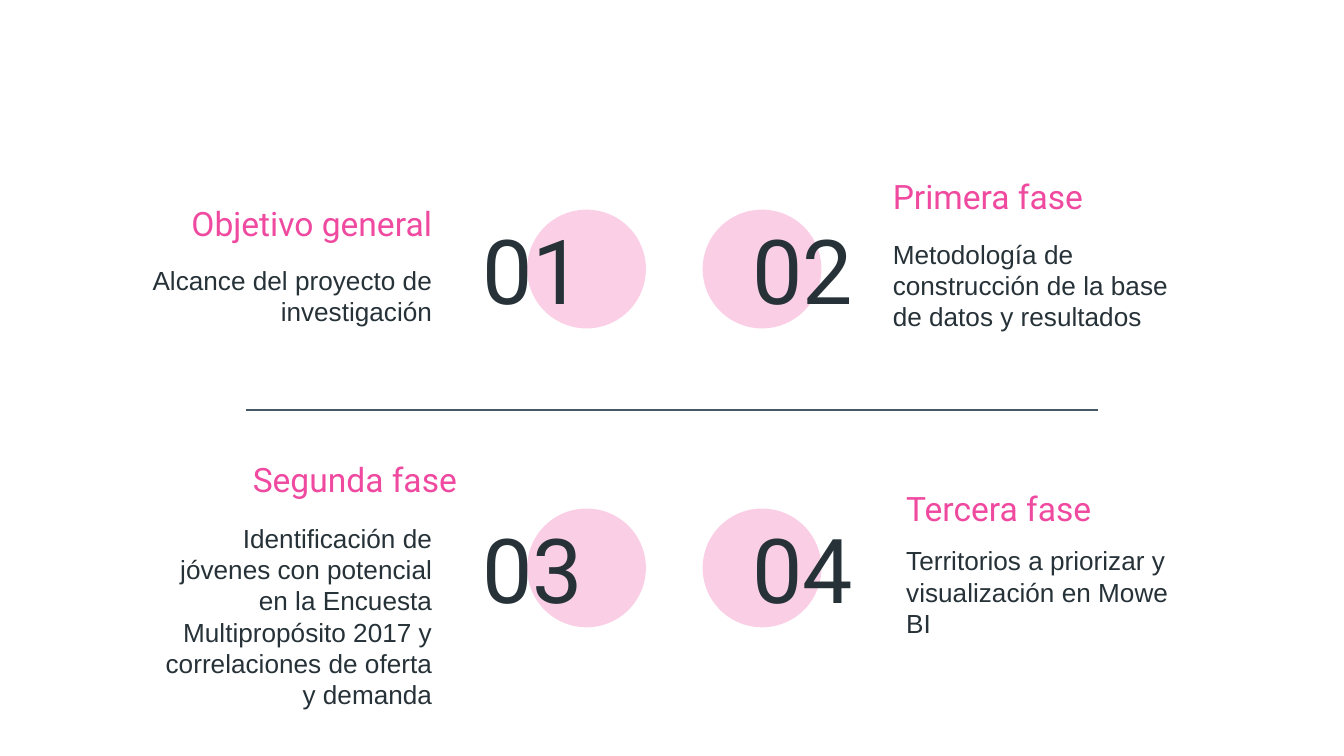
from lxml import etree
from pptx import Presentation
from pptx.dml.color import RGBColor
from pptx.enum.shapes import MSO_CONNECTOR, MSO_SHAPE
from pptx.enum.text import MSO_ANCHOR, PP_ALIGN
from pptx.oxml.ns import qn
from pptx.util import Inches, Pt

PINK = RGBColor(0xEF, 0x49, 0xA0)
PALE_PINK = RGBColor(0xFB, 0xD0, 0xE6)
INK = RGBColor(0x26, 0x32, 0x38)
SLATE = RGBColor(0x45, 0x5A, 0x64)
LEFT, RIGHT = PP_ALIGN.LEFT, PP_ALIGN.RIGHT
TOP, MIDDLE, BOTTOM = MSO_ANCHOR.TOP, MSO_ANCHOR.MIDDLE, MSO_ANCHOR.BOTTOM
OVAL, STRAIGHT = MSO_SHAPE.OVAL, MSO_CONNECTOR.STRAIGHT

CELL = 0.1  # inches per grid column and row
CIRCLE = 8.84
HEADING_HEIGHT = 4.4
ROW_TOPS = (15.6, 37.84)
CIRCLE_LEFTS = (39.22, 52.28)
NUMBER_LEFTS = (34.9, 51.35)


def grid(*counts):
    return [Inches(count * CELL) for count in counts]


class PhasePage:
    """Holds the page and its style; places are in grid columns and rows."""

    def __init__(self, deck):
        self.page = deck.slides.add_slide(deck.slide_layouts[6])

    def circle(self, left, top, color, opacity=None):
        disc = self.page.shapes.add_shape(OVAL, *grid(left, top, CIRCLE, CIRCLE))
        disc.shadow.inherit = False
        disc.line.fill.background()
        disc.fill.solid()
        disc.fill.fore_color.rgb = color
        if opacity is not None:
            tint = disc._element.spPr.find(qn("a:solidFill"))[0]
            etree.SubElement(tint, qn("a:alpha"), val=str(opacity * 1000))

    def text(self, words, place, size=14, font="Arial", color=INK,
             align=LEFT, anchor=TOP):
        box = self.page.shapes.add_textbox(*grid(*place))
        frame = box.text_frame
        frame.word_wrap = True
        frame.vertical_anchor = anchor
        frame.margin_left = frame.margin_right = Inches(0.1)
        frame.margin_top = frame.margin_bottom = Inches(0.1)
        para = frame.paragraphs[0]
        para.alignment = align
        span = para.add_run()
        span.text = words
        span.font.size = Pt(size)
        span.font.name = font
        span.font.color.rgb = color

    def number(self, words, left, top, align):
        self.text(words, (left, top, 13.1, 8.2), size=48, font="Roboto",
                  align=align, anchor=MIDDLE)

    def heading(self, words, left, top, width, align):
        self.text(words, (left, top, width, HEADING_HEIGHT), size=18,
                  font="Roboto", color=PINK, align=align, anchor=BOTTOM)

    def body(self, words, left, top, height, align):
        self.text(words, (left, top, 22.9, height), align=align)

    def divider(self, left, right, top):
        line = self.page.shapes.add_connector(
            STRAIGHT, *grid(left, top, right, top))
        line.line.color.rgb = SLATE
        line.line.width = Pt(0.75)
        etree.SubElement(line._element.spPr, qn("a:effectLst"))


# Heading and its left, top, width; then body and its left, top, height
PHASES = [
    (("Objetivo general", 2.04, 14.7, 31.1),
     ("Alcance del proyecto de investigación", 10.24, 18.64, 5.5)),
    (("Primera fase", 65.44, 12.7, 22.9),
     ("Metodología de construcción de la base de datos y resultados",
      65.44, 16.7, 5.5)),
    (("Segunda fase", 7.3, 33.74, 27.7),
     ("Identificación de jóvenes con potencial en la Encuesta Multipropósito "
      "2017 y correlaciones de oferta y demanda", 10.24, 37.84, 8.8)),
    (("Tercera fase", 66.44, 35.94, 29.8),
     ("Territorios a priorizar y visualización en Mowe BI",
      66.44, 39.54, 5.5)),
]


def main():
    deck = Presentation()
    deck.slide_width = Inches(10)
    deck.slide_height = deck.slide_width * 9 // 16
    page = PhasePage(deck)
    for index, (heading, body) in enumerate(PHASES):
        row, column = divmod(index, 2)
        align = (RIGHT, LEFT)[column]
        number_align = (LEFT, RIGHT)[column]
        top = ROW_TOPS[row]
        if index == 0:
            page.circle(CIRCLE_LEFTS[column], top, PALE_PINK)
        else:
            page.circle(CIRCLE_LEFTS[column], top, PINK, opacity=26)
        page.number(f"{index + 1:02}", NUMBER_LEFTS[column], top + 0.3,
                    number_align)
        page.heading(*heading, align)
        page.body(*body, align)
    page.divider(18.3, 81.7, 30.52)
    deck.save("out.pptx")


if __name__ == "__main__":
    main()
